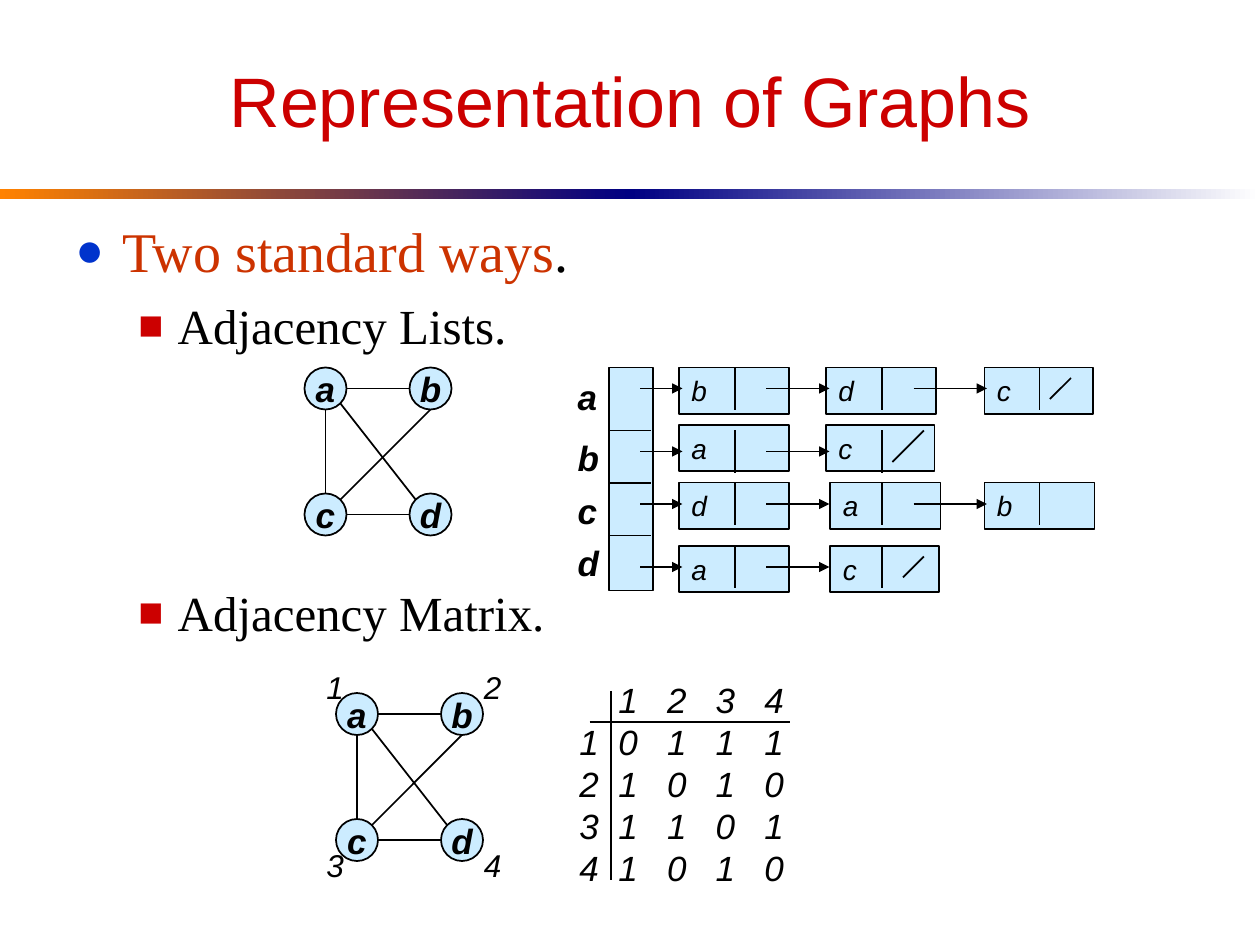
from dataclasses import dataclass

from lxml import etree
from pptx import Presentation
from pptx.dml.color import RGBColor
from pptx.enum import shapes, text
from pptx.oxml import ns
from pptx.util import Pt


@dataclass(frozen=True)
class Theme:
    sans: str = "Arial"
    serif: str = "Times New Roman"
    black: str = "000000"
    red: str = "CC0000"
    rust: str = "CC3300"
    blue: str = "0033CC"
    cell: str = "CCECFF"
    orange: str = "FF8200"
    navy: str = "000082"
    white: str = "FFFFFF"
    title: int = 40
    body: int = 32
    sub: int = 28
    node: int = 20
    index: int = 18
    entry: int = 16


T = Theme()
RECT, OVAL = shapes.MSO_SHAPE.RECTANGLE, shapes.MSO_SHAPE.OVAL
LEFT, CENTER = text.PP_ALIGN.LEFT, text.PP_ALIGN.CENTER
TOP, MIDDLE = text.MSO_ANCHOR.TOP, text.MSO_ANCHOR.MIDDLE
NODE = dict(size=Pt(T.node), bold=True, italic=True)
INDEX = dict(size=Pt(T.index), italic=True)
ENTRY = dict(size=Pt(T.entry), italic=True)


def add_run(p, words, color=T.black, **font):
    r = p.add_run()
    r.text = words
    for key, value in {"name": T.sans, **font}.items():
        setattr(r.font, key, value)
    r.font.color.rgb = RGBColor.from_string(color)


def set_frame(sp, wrap=True, anchor=TOP, inset=(7.2, 3.6)):
    tf = sp.text_frame
    tf.word_wrap, tf.vertical_anchor = wrap, anchor
    tf.margin_left = tf.margin_right = Pt(inset[0])
    tf.margin_top = tf.margin_bottom = Pt(inset[1])
    return tf


def add_text(s, box, **frame):
    return set_frame(s.shapes.add_textbox(*map(Pt, box)), **frame)


def add_label(s, x, y, words, font):
    add_run(add_text(s, (x, y, 25, 30), wrap=False).paragraphs[0], words, **font)


def add_box(s, kind, box):
    sp = s.shapes.add_shape(kind, *map(Pt, box))
    sp.shadow.inherit = False
    sp.fill.solid()
    sp.fill.fore_color.rgb = RGBColor.from_string(T.cell)
    sp.line.color.rgb = RGBColor.from_string(T.black)
    sp.line.width = Pt(1)
    return sp


def add_line(s, x1, y1, x2, y2, arrow=False):
    line = s.shapes.add_connector(shapes.MSO_CONNECTOR.STRAIGHT, *map(Pt, (x1, y1, x2, y2)))
    line.line.color.rgb = RGBColor.from_string(T.black)
    line.line.width = Pt(1)
    if arrow:
        etree.SubElement(line.line._get_or_add_ln(), ns.qn("a:tailEnd"), type="triangle")
    etree.SubElement(line._element.spPr, ns.qn("a:effectLst"))


def add_bullet(p, char, color, left, hang):
    pPr = p._p.get_or_add_pPr()
    pPr.set("marL", str(Pt(left)))
    pPr.set("indent", str(Pt(-hang)))
    clr = etree.SubElement(pPr, ns.qn("a:buClr"))
    etree.SubElement(clr, ns.qn("a:srgbClr"), val=color)
    etree.SubElement(pPr, ns.qn("a:buSzPct"), val="85000")
    etree.SubElement(pPr, ns.qn("a:buFont"), typeface=T.sans)
    etree.SubElement(pPr, ns.qn("a:buChar"), char=char)


def draw_rule(s, x, y, w, h):
    """Two-part gradient rule under the title."""
    for i, colors in enumerate([(T.orange, T.navy), (T.navy, T.white)]):
        sp = add_box(s, RECT, (x + i * w / 2, y, w / 2, h))
        sp.line.fill.background()
        sp.fill.gradient()
        sp.fill.gradient_angle = 0
        for stop, color, at in zip(sp.fill.gradient_stops, colors, (0, 1)):
            stop.color.rgb = RGBColor.from_string(color)
            stop.position = at


def draw_title(s, box):
    p = add_text(s, box, anchor=MIDDLE).paragraphs[0]
    p.alignment = CENTER
    add_run(p, "Representation of Graphs", T.red, size=Pt(T.title))


def draw_outline(s, box):
    tf = add_text(s, box)
    p = tf.paragraphs[0]
    add_bullet(p, "●", T.blue, 27, 27)
    for words, color in (("Two standard ways", T.rust), (".", T.black)):
        add_run(p, words, color, name=T.serif, size=Pt(T.body))
    for words, gap in (("Adjacency Lists.", 7), ("Adjacency Matrix.", 130.5)):
        p = tf.add_paragraph()
        p.space_before = Pt(gap)
        add_bullet(p, "■", T.red, 58.5, 22.5)
        add_run(p, words, name=T.serif, size=Pt(T.sub))


def draw_graph(s, x, y, numbered=False):
    d, dx, dy = 24, 60, 72
    r, near = d / 2, 0.85 * d
    for i, name in enumerate("abcd"):
        row, col = divmod(i, 2)
        sp = add_box(s, OVAL, (x + col * dx, y + row * dy, d, d))
        p = set_frame(sp, wrap=False, anchor=MIDDLE, inset=(0, 0)).paragraphs[0]
        p.alignment = CENTER
        add_run(p, name, **NODE)
        if numbered:
            add_label(s, x - 12.6 + col * 90, y - 18 + row * 102, str(i + 1), INDEX)
    edges = [(d, r, dx, r), (d, dy + r, dx, dy + r), (r, d, r, dy),
             (dx + r, d, near, dy + d - near), (near, near, dx + d - near, dy + d - near)]
    for x1, y1, x2, y2 in edges:
        add_line(s, x + x1, y + y1, x + x2, y + y2)


def draw_lists(s, x, y):
    """Column of list heads, each followed by its chain of linked entries."""
    add_box(s, RECT, (x, y, 25, 127.5))
    # vertex, entries, label top, entry top, divider top, arrow height, shift, slash
    rows = [("a", "bdc", 1, 0, 0, 12, 0, (264, 6, 12)),
            ("b", "ac", 36, 32.75, 36, 48, 0, (180, 36, 18)),
            ("c", "dab", 66, 65.75, 66, 78, 2.5, None),
            ("d", "ac", 96, 102, 102, 114, 2.5, (180, 108, 12))]
    cells, dividers = (40, 124, 214.5), (72, 156, 246)
    arrows = ((18, 42), (90, 126), (174, 216))
    for vertex, entries, label, top, divider, arrow, shift, slash in rows:
        add_label(s, x - 25, y + label, vertex, NODE)
        if vertex != "a":
            head = y + label
            add_line(s, x, head, x + 24, head)
        for i, entry in enumerate(entries):
            left = cells[i] + (shift if i == 1 else 0)
            width = 62 if slash and i == len(entries) - 1 else 63
            sp = add_box(s, RECT, (x + left, y + top, width, 26.5))
            p = set_frame(sp).paragraphs[0]
            p.alignment = LEFT
            add_run(p, entry, **ENTRY)
            add_line(s, x + dividers[i], y + divider, x + dividers[i], y + divider + 24)
        for start, end in arrows[:len(entries)]:
            add_line(s, x + start, y + arrow, x + end, y + arrow, arrow=True)
        if slash:
            right, up, size = slash
            add_line(s, x + right, y + up, x + right - size, y + up + size)


def draw_matrix(s, x, y, w, h):
    tf = add_text(s, (x, y, w, h))
    for i, digits in enumerate(["1234", "0111", "1010", "1101", "1010"]):
        p = tf.add_paragraph() if i else tf.paragraphs[0]
        tabs = etree.SubElement(p._p.get_or_add_pPr(), ns.qn("a:tabLst"))
        for col in range(4):
            etree.SubElement(tabs, ns.qn("a:tab"), pos=str(Pt(22.25 + 27.8 * col)), algn="l")
        add_run(p, "\t".join([str(i) if i else "", *digits]), size=Pt(T.node), italic=True)
    add_line(s, x + 13, y + 28.8, x + 127.5, y + 28.8)
    add_line(s, x + 25, y + 10.8, x + 25, y + 118.8)


def main():
    prs = Presentation()
    prs.slide_width, prs.slide_height = Pt(720), Pt(540)
    s = prs.slides.add_slide(prs.slide_layouts[6])
    draw_rule(s, 0, 108, 720, 6)
    draw_title(s, (36, 18, 648, 78))
    draw_outline(s, (36, 120, 648, 342))
    draw_graph(s, 174, 210)
    draw_lists(s, 348, 210)
    draw_graph(s, 192, 396, numbered=True)
    draw_matrix(s, 324, 384, 131, 127.5)
    prs.save("out.pptx")


if __name__ == "__main__":
    main()
